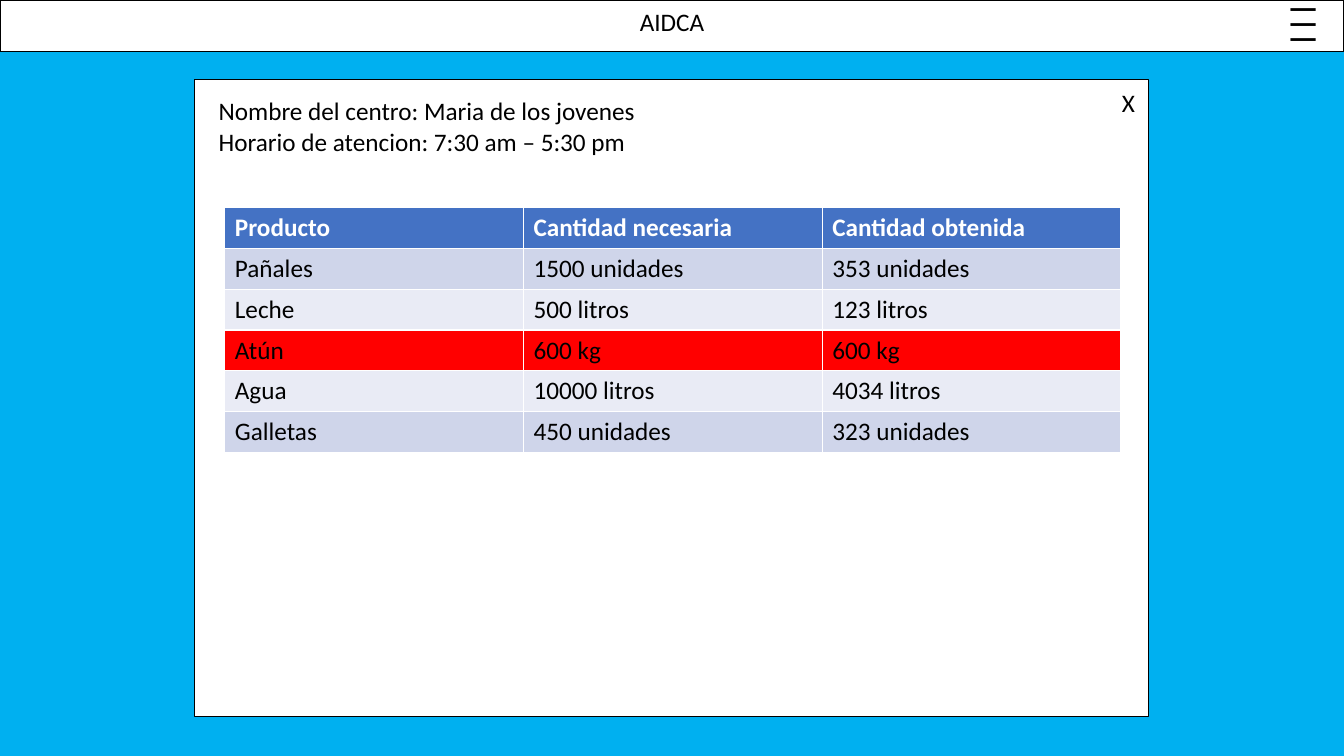
from pptx import Presentation
from pptx.dml.color import RGBColor
from pptx.enum.shapes import MSO_SHAPE as Shape
from pptx.enum.text import MSO_ANCHOR as Anchor, MSO_AUTO_SIZE as AutoSize, PP_ALIGN as Align
from pptx.util import Inches, Pt

SKY = RGBColor(0x00, 0xB0, 0xF0)
WHITE = RGBColor(0xFF, 0xFF, 0xFF)
BLACK = RGBColor(0x00, 0x00, 0x00)
HEAD_BLUE = RGBColor(0x44, 0x72, 0xC4)
BAND_DARK = RGBColor(0xCF, 0xD5, 0xEA)
BAND_LIGHT = RGBColor(0xE9, 0xEB, 0xF5)
RED = RGBColor(0xFF, 0x00, 0x00)

CENTER_INFO = ["Nombre del centro: Maria de los jovenes",
               "Horario de atencion: 7:30 am – 5:30 pm"]
PRODUCTS = [
    ("Producto", "Cantidad necesaria", "Cantidad obtenida"),
    ("Pañales", "1500 unidades", "353 unidades"),
    ("Leche", "500 litros", "123 litros"),
    ("Atún", "600 kg", "600 kg"),
    ("Agua", "10000 litros", "4034 litros"),
    ("Galletas", "450 unidades", "323 unidades"),
]
ROW_FILLS = [HEAD_BLUE, BAND_DARK, BAND_LIGHT, RED, BAND_LIGHT, BAND_DARK]


def write(tf, lines, color=BLACK, bold=False, font="Calibri", align=Align.LEFT):
    for i, line in enumerate(lines):
        p = tf.paragraphs[0] if i == 0 else tf.add_paragraph()
        p.alignment = align
        r = p.add_run()
        r.text = line
        r.font.name, r.font.size, r.font.bold = font, Pt(18), bold
        r.font.color.rgb = color


def add_box(s, x, y, w, h, line=BLACK):
    sp = s.shapes.add_shape(Shape.RECTANGLE, Inches(x), Inches(y), Inches(w), Inches(h))
    sp.shadow.inherit = False
    sp.fill.solid()
    sp.fill.fore_color.rgb = WHITE
    sp.line.color.rgb = line
    sp.line.width = Pt(1)
    return sp


def add_text(s, x, y, w, h, lines, **style):
    sp = s.shapes.add_textbox(Inches(x), Inches(y), Inches(w), Inches(h))
    sp.text_frame.word_wrap = True
    sp.text_frame.auto_size = AutoSize.SHAPE_TO_FIT_TEXT
    write(sp.text_frame, lines, **style)
    return sp


def add_header(s, x, y, w, h):
    bar = add_box(s, x, y, w, h)

    # Page title, brought in front of the bar
    title = s.shapes.title
    title.left, title.top = Inches(x + 5.47), Inches(y + 0.01)
    title.width, title.height = Inches(2.39), Inches(0.4)
    tf = title.text_frame
    tf.word_wrap = True
    tf.auto_size = AutoSize.SHAPE_TO_FIT_TEXT
    tf.vertical_anchor = Anchor.TOP
    write(tf, ["AIDCA"], align=Align.CENTER)
    bar.element.addnext(title.element)

    # Menu button: three bars turned on their side
    add_box(s, x + w - 0.57, y + 0.04, 0.44, 0.43, line=WHITE)
    menu = add_text(s, x + w - 0.7, y + 0.05, 0.66, 0.4, ["|||"], bold=True,
                    font="Noto Sans Mono", align=Align.CENTER)
    menu.rotation = 90


def add_products(s, x, y, w, h):
    table = s.shapes.add_table(len(PRODUCTS), len(PRODUCTS[0]), Inches(x), Inches(y),
                               Inches(w), Inches(h)).table
    for i, (values, fill) in enumerate(zip(PRODUCTS, ROW_FILLS)):
        for j, value in enumerate(values):
            cell = table.cell(i, j)
            cell.fill.solid()
            cell.fill.fore_color.rgb = fill
            write(cell.text_frame, [value], color=BLACK if i else WHITE, bold=i == 0)


def add_center_panel(s, x, y, w, h):
    add_box(s, x, y, w, h)
    add_text(s, x + 0.14, y + 0.11, w - 0.25, 0.71, CENTER_INFO)
    add_products(s, x + 0.3, y + 1.27, 8.89, 2.43)

    # Close button
    add_box(s, x + w - 0.36, y + 0.03, 0.3, 0.3, line=WHITE)
    add_text(s, x + w - 0.36, y + 0.03, 0.3, 0.4, ["X"])


def main():
    prs = Presentation()
    prs.slide_width, prs.slide_height = Inches(13.33), Inches(7.5)
    s = prs.slides.add_slide(prs.slide_layouts[5])
    s.background.fill.solid()
    s.background.fill.fore_color.rgb = SKY
    add_header(s, 0, 0, 13.33, 0.51)
    add_center_panel(s, 1.93, 0.79, 9.46, 6.32)
    prs.save("out.pptx")


if __name__ == "__main__":
    main()
